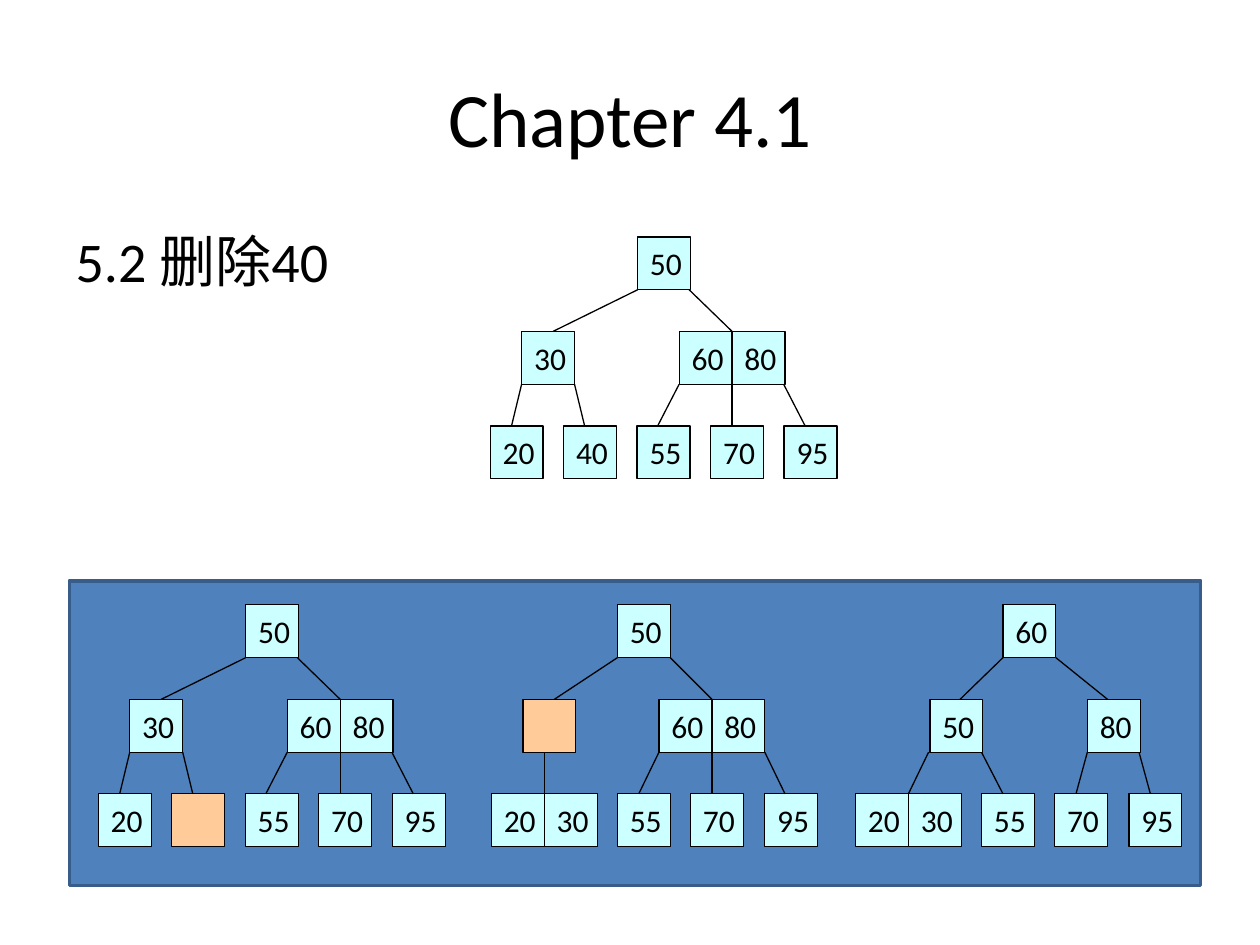
"""Build a slide showing the deletion of key 40 from a 2-3 tree."""
from dataclasses import dataclass

from lxml import etree
from pptx import Presentation
from pptx.dml.color import RGBColor
from pptx.enum.shapes import MSO_CONNECTOR, MSO_SHAPE
from pptx.enum.text import MSO_ANCHOR, MSO_AUTO_SIZE, PP_ALIGN
from pptx.oxml.ns import qn
from pptx.util import Inches, Pt

RECT = MSO_SHAPE.RECTANGLE
STRAIGHT = MSO_CONNECTOR.STRAIGHT
LEFT, CENTER = PP_ALIGN.LEFT, PP_ALIGN.CENTER
TOP, MIDDLE = MSO_ANCHOR.TOP, MSO_ANCHOR.MIDDLE
NO_AUTOFIT = MSO_AUTO_SIZE.NONE

FONT = "Calibri"
BLACK = "000000"
KEY_FILL, HOLE_FILL = "CCFFFF", "FFCC99"
PANEL_FILL, PANEL_LINE = "4F81BD", "385D8A"
CELL = 0.42
ROW_PITCH = 0.75

Cells = list[tuple[float, str]]
Edges = list[tuple[float, float]]


@dataclass
class Tree:
    """A tree whose rows hold (offset, key) and whose edges hold (from, to) offsets."""
    left: float
    top: float
    rows: list[Cells]
    edges: list[Edges]


def rgb(color: str) -> RGBColor:
    """Turn a hex string into a colour."""
    return RGBColor.from_string(color)


def format_text(tf, size: float, align, anchor, wrap: bool) -> None:
    """Format the single paragraph of a text frame."""
    tf.word_wrap = wrap
    tf.auto_size = NO_AUTOFIT
    tf.vertical_anchor = anchor
    p = tf.paragraphs[0]
    p.alignment = align
    p.space_before = Pt(0)
    for r in p.runs:
        r.font.name = FONT
        r.font.size = Pt(size)
        r.font.color.rgb = rgb(BLACK)


def place(sp, left: float, top: float, width: float, height: float) -> None:
    """Move and size a placeholder."""
    sp.left, sp.top = Inches(left), Inches(top)
    sp.width, sp.height = Inches(width), Inches(height)


def add_box(shapes, left: float, top: float, width: float, height: float,
            fill: str, line: str, weight: float):
    """Add a filled, outlined rectangle."""
    sp = shapes.add_shape(RECT, Inches(left), Inches(top), Inches(width), Inches(height))
    sp.shadow.inherit = False
    sp.fill.solid()
    sp.fill.fore_color.rgb = rgb(fill)
    sp.line.color.rgb = rgb(line)
    sp.line.width = Pt(weight)
    return sp


def add_cell(shapes, left: float, top: float, key: str) -> None:
    """Add a key cell, or a hole when the key is empty."""
    sp = add_box(shapes, left, top, CELL, CELL, KEY_FILL if key else HOLE_FILL, BLACK, 0.75)
    if key:
        sp.text_frame.text = key
        format_text(sp.text_frame, 18, LEFT, MIDDLE, False)


def add_edge(shapes, x1: float, y1: float, x2: float, y2: float) -> None:
    """Add a thin line from a parent to a child."""
    line = shapes.add_connector(STRAIGHT, Inches(x1), Inches(y1), Inches(x2), Inches(y2))
    line.line.color.rgb = rgb(BLACK)
    line.line.width = Pt(0.75)
    etree.SubElement(line._element.spPr, qn("a:effectLst"))


def add_tree(shapes, tree: Tree) -> None:
    """Draw a tree as one group."""
    group = shapes.add_group_shape().shapes
    for level, cells in enumerate(tree.rows):
        for dx, key in cells:
            add_cell(group, tree.left + dx, tree.top + level * ROW_PITCH, key)
    for level, edges in enumerate(tree.edges):
        y = tree.top + level * ROW_PITCH
        for x1, x2 in edges:
            add_edge(group, tree.left + x1, y + CELL, tree.left + x2, y + ROW_PITCH)


def five_leaf_tree(left: float, top: float, second_leaf: str) -> Tree:
    """Describe the tree before its leaf 40 is repaired."""
    leaves = ["20", second_leaf, "55", "70", "95"]
    return Tree(
        left, top,
        [[(1.17, "50")],
         [(0.25, "30"), (1.5, "60"), (1.92, "80")],
         [(i * 1.75 / 3, key) for i, key in enumerate(leaves)]],
        [[(1.17, 0.5), (1.58, 1.92)],
         [(0.25, 0.17), (0.67, 0.75), (1.5, 1.33), (1.92, 1.92), (2.33, 2.5)]],
    )


MERGED_LEAVES = [(0, "20"), (CELL, "30"), (1, "55"), (1.58, "70"), (2.17, "95")]
TREES = [
    five_leaf_tree(3.89, 1.88, "40"),
    five_leaf_tree(0.78, 4.8, ""),
    Tree(3.9, 4.8,
         [[(1, "50")], [(0.25, ""), (1.33, "60"), (1.75, "80")], MERGED_LEAVES],
         [[(1, 0.5), (1.42, 1.75)],
          [(0.42, 0.42), (1.33, 1.17), (1.75, 1.75), (2.17, 2.33)]]),
    Tree(6.79, 4.8,
         [[(1.17, "60")], [(0.59, "50"), (1.84, "80")], MERGED_LEAVES],
         [[(1.17, 0.83), (1.59, 2)],
          [(0.58, 0.42), (1, 1.17), (1.84, 1.75), (2.25, 2.34)]]),
]


def main() -> None:
    """Build and save the slide."""
    prs = Presentation()
    prs.slide_width, prs.slide_height = Inches(10), Inches(7.5)
    s = prs.slides.add_slide(prs.slide_layouts[1])

    title = s.shapes.title
    place(title, 0.5, 0.3, 9, 1.25)
    title.text_frame.text = "Chapter 4.1"
    format_text(title.text_frame, 44, CENTER, MIDDLE, True)

    body = s.placeholders[1]
    place(body, 0.5, 1.75, 2.94, 1.06)
    body.text_frame.text = "5.2 删除40"
    pPr = body.text_frame.paragraphs[0]._p.get_or_add_pPr()
    pPr.set("marL", str(Inches(0.38)))
    pPr.set("indent", str(Inches(-0.38)))
    etree.SubElement(pPr, qn("a:buNone"))
    format_text(body.text_frame, 32, LEFT, TOP, True)

    add_box(s.shapes, 0.55, 4.61, 8.98, 2.42, PANEL_FILL, PANEL_LINE, 2)
    for tree in TREES:
        add_tree(s.shapes, tree)
    prs.save("out.pptx")


if __name__ == "__main__":
    main()
